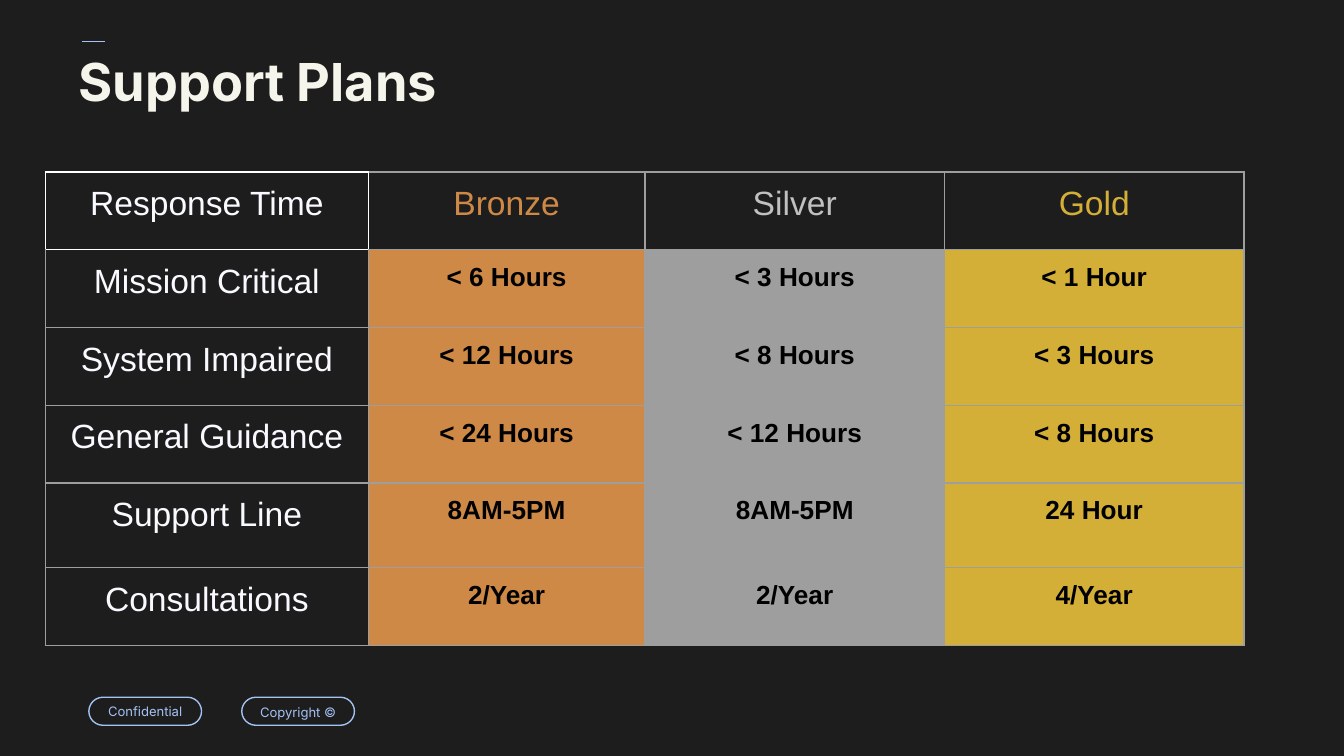
from dataclasses import dataclass

from lxml.etree import SubElement
from pptx import Presentation
from pptx.dml.color import RGBColor
from pptx.enum.shapes import MSO_CONNECTOR, MSO_SHAPE
from pptx.enum.text import MSO_ANCHOR, PP_ALIGN
from pptx.oxml.ns import qn
from pptx.util import Cm, Pt

# Content
TITLE = "Support Plans"
PLANS = [
    ["Response Time", "Bronze", "Silver", "Gold"],
    ["Mission Critical", "< 6 Hours", "< 3 Hours", "< 1 Hour"],
    ["System Impaired", "< 12 Hours", "< 8 Hours", "< 3 Hours"],
    ["General Guidance", "< 24 Hours", "< 12 Hours", "< 8 Hours"],
    ["Support Line", "8AM-5PM", "8AM-5PM", "24 Hour"],
    ["Consultations", "2/Year", "2/Year", "4/Year"],
]
FOOTER = [("Confidential", 1.0), ("Copyright ©", 1.15)]  # label, line spacing
COL_WIDTHS = [6.1, 5.23, 5.66, 5.66]
ROW_HEIGHTS = [1.47, 1.47, 1.47, 1.47, 1.6, 1.47]


@dataclass(frozen=True)
class Theme:
    background: str = "1D1D1D"
    accent: str = "A4C2F4"
    title: str = "F6F5EC"
    label: str = "F8FAFF"
    value: str = "000000"
    border: str = "9E9E9E"
    corner_border: str = "FFFFFF"
    plan_text: tuple = ("CE8946", "C0C0C0", "D4AF37")
    plan_fill: tuple = ("CE8946", "9E9E9E", "D4AF37")
    heading_font: str = "Inter"
    table_font: str = "Arial"
    title_size: int = 28
    label_size: int = 18
    value_size: int = 14
    footer_size: int = 7
    line_width: float = 0.75
    inset: float = 0.25


T = Theme()


def rgb(color):
    return RGBColor.from_string(color)


def write(tf, text, font, size, color, bold=False, align=PP_ALIGN.LEFT, spacing=None):
    tf.text = text
    tf.word_wrap = True
    p = tf.paragraphs[0]
    p.alignment = align
    p.line_spacing = spacing
    f = p.runs[0].font
    f.name, f.size, f.bold = font, Pt(size), bold
    f.color.rgb = rgb(color)


def set_insets(box):
    box.margin_left = box.margin_right = Cm(T.inset)
    box.margin_top = box.margin_bottom = Cm(T.inset)


def set_border(cell, sides):
    tc_pr = cell._tc.get_or_add_tcPr()
    for side, color in sides.items():
        ln = SubElement(tc_pr, qn(f"a:ln{side}"), w=str(Pt(T.line_width)))
        fill = SubElement(ln, qn("a:solidFill"))
        SubElement(fill, qn("a:srgbClr"), val=color)


def add_title(s):
    # Accent dash above the title
    dash = s.shapes.add_connector(
        MSO_CONNECTOR.STRAIGHT, Cm(1.98), Cm(0.79), Cm(1.55), Cm(0.79))
    dash.line.color.rgb = rgb(T.accent)
    dash.line.width = Pt(T.line_width)
    SubElement(dash._element.spPr, qn("a:effectLst"))

    tf = s.shapes.add_textbox(Cm(1.24), Cm(0.91), Cm(17.3), Cm(1.5)).text_frame
    set_insets(tf)
    write(tf, TITLE, T.heading_font, T.title_size, T.title, bold=True, spacing=0.8)


def add_plans(s):
    tbl = s.shapes.add_table(
        len(PLANS), len(COL_WIDTHS), Cm(0.86), Cm(3.25),
        Cm(sum(COL_WIDTHS)), Cm(sum(ROW_HEIGHTS))).table
    tbl.first_row = tbl.horz_banding = False
    for col, width in zip(tbl.columns, COL_WIDTHS):
        col.width = Cm(width)
    for row, height in zip(tbl.rows, ROW_HEIGHTS):
        row.height = Cm(height)

    for i, row in enumerate(PLANS):
        for j, text in enumerate(row):
            cell = tbl.cell(i, j)
            set_insets(cell)
            is_value = i > 0 and j > 0
            if is_value:
                size, color = T.value_size, T.value
            else:
                size, color = T.label_size, T.plan_text[j - 1] if j else T.label
            write(cell.text_frame, text, T.table_font, size, color,
                  bold=is_value, align=PP_ALIGN.CENTER)

            # The corner cell's white frame is shared with its neighbours
            sides = dict.fromkeys("LRTB", T.border)
            if (i, j) == (0, 0):
                sides = dict.fromkeys("LRTB", T.corner_border)
            elif (i, j) == (0, 1):
                sides["L"] = T.corner_border
            elif (i, j) == (1, 0):
                sides["T"] = T.corner_border
            set_border(cell, sides)

            if is_value:
                cell.fill.solid()
                cell.fill.fore_color.rgb = rgb(T.plan_fill[j - 1])
            else:
                cell.fill.background()


def add_footer(s):
    left, pitch = 1.68, 2.89
    for i, (text, spacing) in enumerate(FOOTER):
        sp = s.shapes.add_shape(
            MSO_SHAPE.ROUNDED_RECTANGLE, Cm(left + i * pitch), Cm(13.18), Cm(2.13), Cm(0.53))
        sp.adjustments[0] = 0.5
        sp.shadow.inherit = False
        sp.fill.background()
        sp.line.color.rgb = rgb(T.accent)
        sp.line.width = Pt(T.line_width)
        tf = sp.text_frame
        set_insets(tf)
        tf.vertical_anchor = MSO_ANCHOR.MIDDLE
        write(tf, text, T.heading_font, T.footer_size, T.accent,
              align=PP_ALIGN.CENTER, spacing=spacing)


def main():
    prs = Presentation()
    prs.slide_width, prs.slide_height = Cm(25.4), Cm(14.29)
    s = prs.slides.add_slide(prs.slide_layouts[6])
    s.background.fill.solid()
    s.background.fill.fore_color.rgb = rgb(T.background)
    add_title(s)
    add_plans(s)
    add_footer(s)
    prs.save("out.pptx")


if __name__ == "__main__":
    main()
